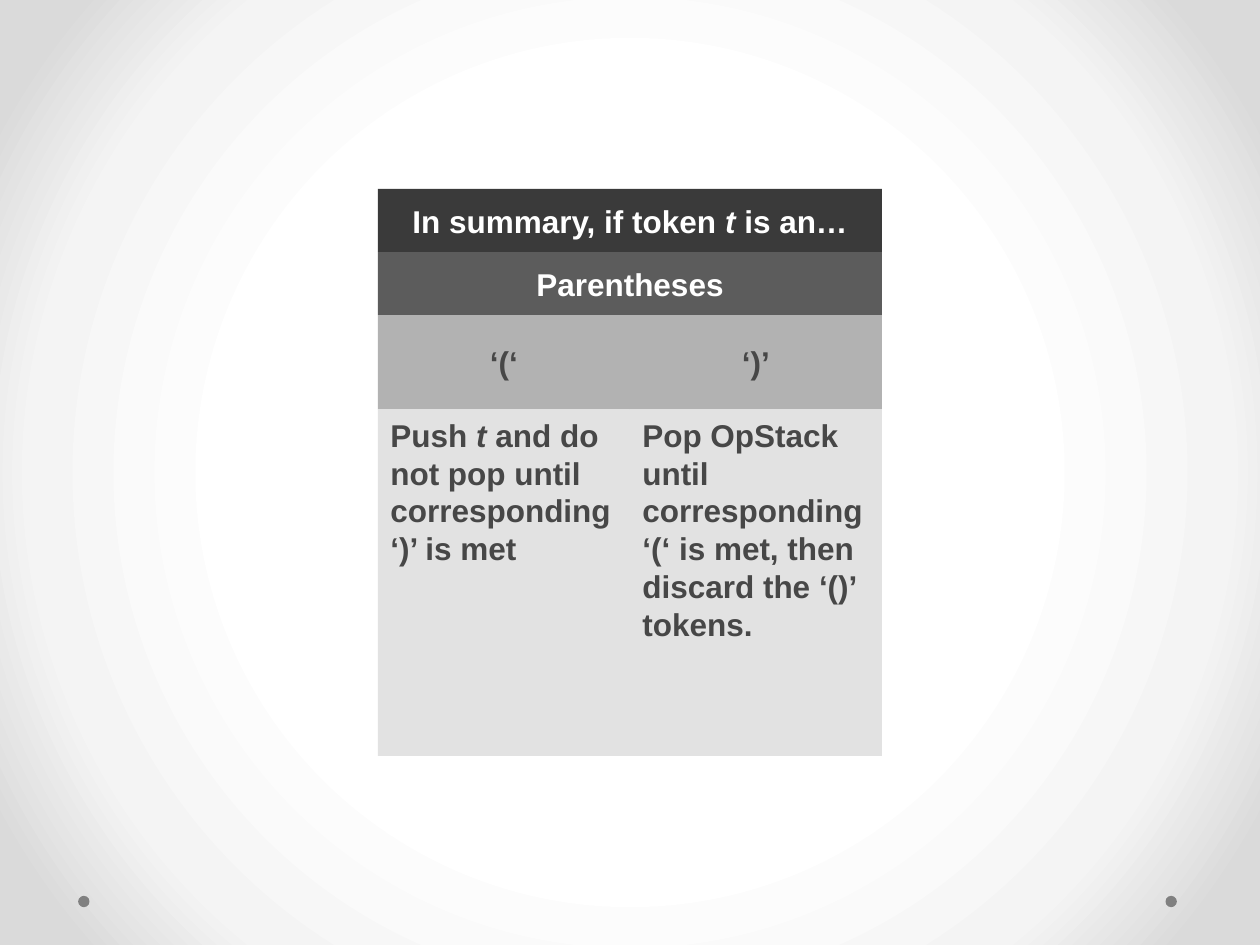
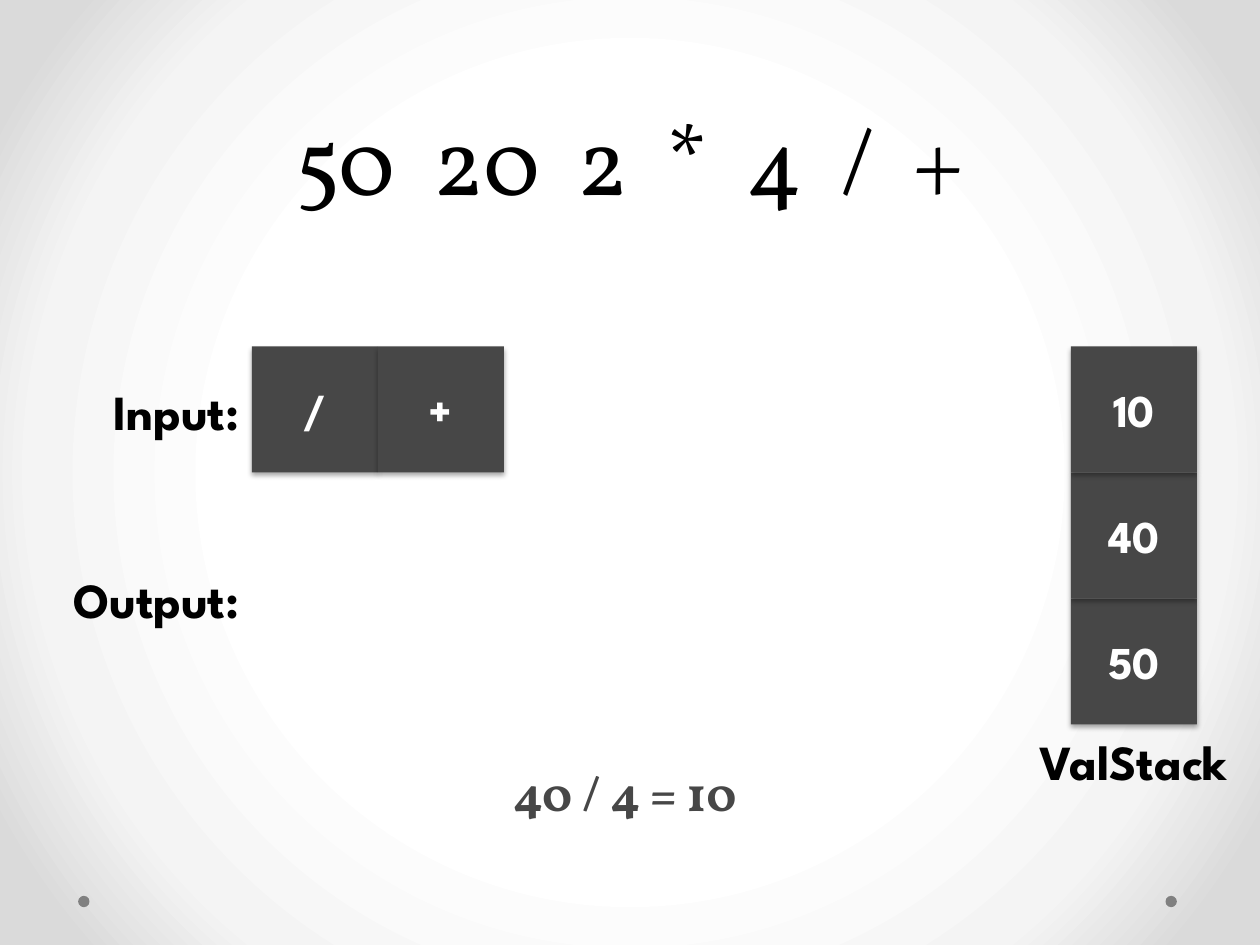
"""Build two slides on evaluating expressions with stacks."""
from dataclasses import dataclass

from lxml import etree
from pptx import Presentation
from pptx.dml.color import RGBColor
from pptx.enum.shapes import MSO_SHAPE
from pptx.enum.text import MSO_ANCHOR, MSO_AUTO_SIZE, PP_ALIGN
from pptx.oxml import parse_xml
from pptx.oxml.ns import nsdecls, qn
from pptx.util import Pt

RECT, OVAL = MSO_SHAPE.RECTANGLE, MSO_SHAPE.OVAL
LEFT, MID, RIGHT = PP_ALIGN.LEFT, PP_ALIGN.CENTER, PP_ALIGN.RIGHT
TOP, CORE, BASE = MSO_ANCHOR.TOP, MSO_ANCHOR.MIDDLE, MSO_ANCHOR.BOTTOM
PX = 9144


@dataclass(frozen=True)
class Theme:
    black: str = "000000"
    white: str = "FFFFFF"
    ink: str = "474747"
    head: str = "3A3A3A"
    group: str = "5C5C5C"
    key: str = "B2B2B2"
    cell: str = "E2E2E2"
    dot: str = "808080"
    glow: tuple = ((50, "FFFFFF"), (76, "F4F4F4"), (92, "DADADA"))
    plain: str = "Arial"
    bold: str = "League Spartan"
    serif: str = "Vollkorn"
    small: int = 18
    tile: int = 26
    label: int = 28
    title: int = 54


T = Theme()


def block(shapes, form, area, fill):
    """Add a flat filled shape."""
    shape = shapes.add_shape(form, *(n * PX for n in area))
    shape.shadow.inherit = False
    shape.fill.solid()
    shape.fill.fore_color.rgb = RGBColor.from_string(fill)
    shape.line.fill.background()
    return shape


def write(shape, text, font, size, color, align=MID, anchor=CORE, bold=True):
    """Fill a shape with text; every second part between bars is italic."""
    frame = shape.text_frame
    frame.word_wrap = True
    frame.auto_size = MSO_AUTO_SIZE.NONE
    frame.vertical_anchor = anchor
    para = frame.paragraphs[0]
    para.alignment = align
    for i, part in enumerate(text.split("|")):
        run = para.add_run()
        run.text = part
        run.font.name = font
        run.font.size = Pt(size)
        run.font.bold = bold
        run.font.italic = i % 2 == 1
        run.font.color.rgb = RGBColor.from_string(color)
    return para


deck = Presentation()
deck.slide_width, deck.slide_height = 1000 * PX, 750 * PX
rules = deck.slides.add_slide(deck.slide_layouts[6])
stack = deck.slides.add_slide(deck.slide_layouts[5])

master = deck.slide_master
tree = master.element.cSld
for old in tree.findall(qn("p:bg")):
    tree.remove(old)
stops = "".join(
    f'<a:gs pos="{pos * 1000}"><a:srgbClr val="{color}"/></a:gs>' for pos, color in T.glow
)
tree.insert(0, parse_xml(
    f'<p:bg {nsdecls("p", "a")}><p:bgPr><a:gradFill rotWithShape="1">'
    f'<a:gsLst>{stops}</a:gsLst><a:path path="circle">'
    '<a:fillToRect l="50000" t="50000" r="50000" b="50000"/></a:path>'
    '</a:gradFill><a:effectLst/></p:bgPr></p:bg>'
))
for num, left in enumerate((925, 62), 101):
    dot = block(rules.shapes, OVAL, (left, 711, 9, 9), T.dot)
    dot.element.nvSpPr.cNvPr.set("id", str(num))
    master.shapes.element.append(dot.element)

cells = (
    ((300, 200, 400, 50), T.group, T.white, "Parentheses", MID, CORE),
    ((300, 250, 200, 75), T.key, T.ink, "‘(‘", MID, CORE),
    ((500, 250, 200, 75), T.key, T.ink, "‘)’", MID, CORE),
    ((300, 325, 200, 275), T.cell, T.ink,
     "Push |t |and do not pop until corresponding ‘)’ is met", LEFT, TOP),
    ((500, 325, 200, 275), T.cell, T.ink,
     "Pop OpStack until corresponding ‘(‘ is met, then discard the ‘()’ tokens.", LEFT, TOP),
    ((300, 150, 400, 50), T.head, T.white, "In summary, if token |t| is an…", MID, CORE),
)
grid = rules.shapes.add_group_shape()
for area, fill, color, text, align, anchor in cells:
    cell = block(grid.shapes, RECT, area, fill)
    write(cell, text, T.plain, T.small, color, align, anchor)

title = stack.shapes.title
title.left, title.top, title.width, title.height = (n * PX for n in (50, 0, 900, 175))
para = write(title, "50  20  2  *  4  /  +", T.serif, T.title, T.black, MID, BASE, False)
para.line_spacing = Pt(58)

side = 100
queue = [(200 + i * side, 275, text) for i, text in enumerate("/+")]
pile = [(850, 275 + i * side, text) for i, text in enumerate(("10", "40", "50"))]
for left, top, text in queue + pile[::-1]:
    tile = block(stack.shapes, RECT, (left, top, side, side), T.ink)
    cast = etree.SubElement(
        tile.element.spPr.find(qn("a:effectLst")), qn("a:outerShdw"),
        blurRad=str(Pt(3.1)), dist=str(Pt(1.8)), dir="5400000", rotWithShape="0",
    )
    tint = etree.SubElement(cast, qn("a:srgbClr"), val=T.black)
    etree.SubElement(tint, qn("a:alpha"), val="35000")
    write(tile, text, T.bold, T.tile, T.white)

labels = (
    ((0, 276, 200, 100), "Input:", T.bold, T.black, RIGHT, CORE),
    ((0, 425, 200, 100), "Output:", T.bold, T.black, RIGHT, CORE),
    ((800, 576, 200, 57), "ValStack", T.bold, T.black, MID, TOP),
    ((217, 600, 558, 57), "40 / 4 = 10", T.serif, T.ink, MID, TOP),
)
for area, text, font, color, align, anchor in labels:
    label = stack.shapes.add_textbox(*(n * PX for n in area))
    write(label, text, font, T.label, color, align, anchor)

deck.save("out.pptx")
